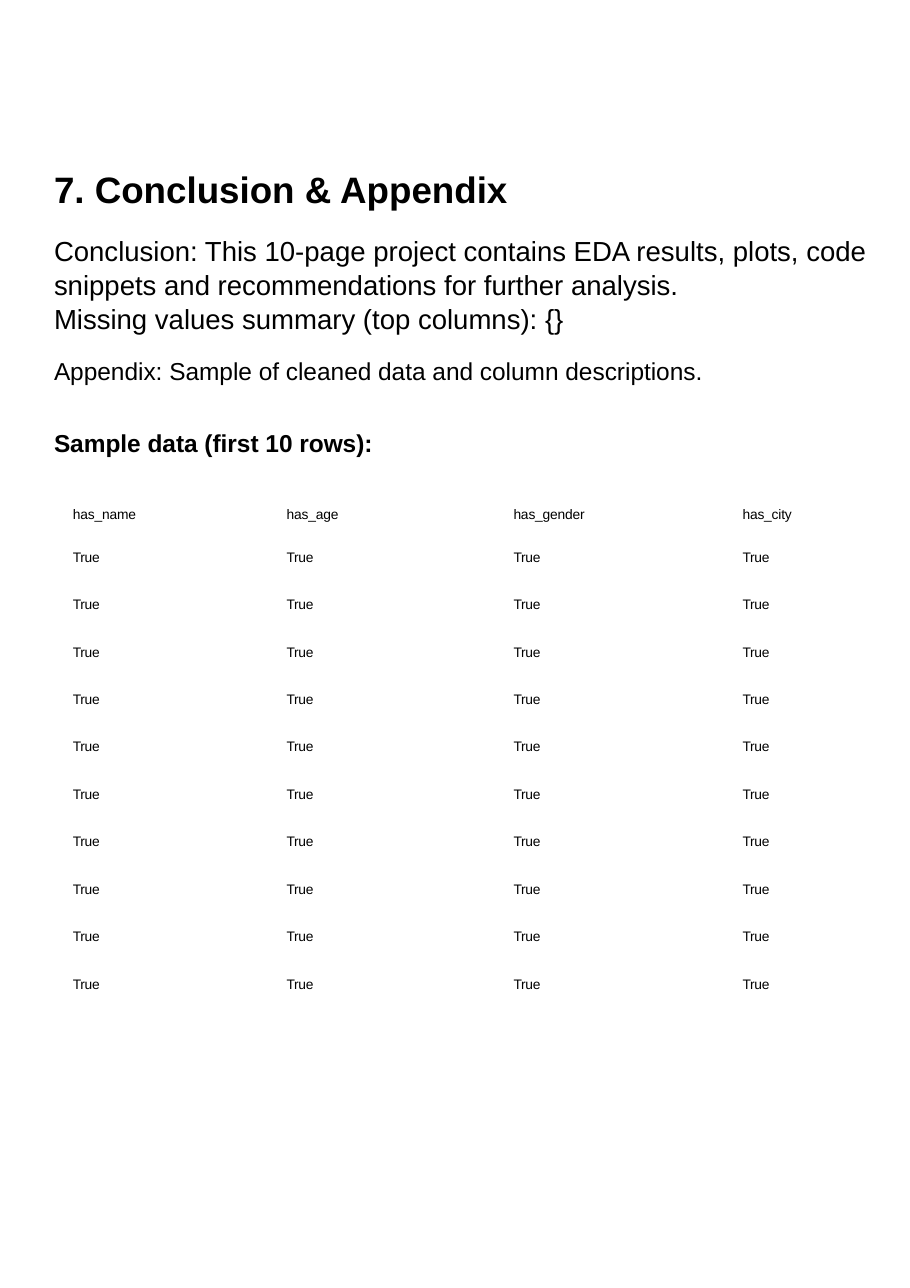
from dataclasses import dataclass

from pptx import Presentation
from pptx.dml.color import RGBColor
from pptx.enum.text import MSO_ANCHOR, MSO_AUTO_SIZE, PP_ALIGN
from pptx.util import Pt


@dataclass(frozen=True)
class Theme:
    font: str = "Arial"
    ink: RGBColor = RGBColor(0, 0, 0)
    title: float = 24
    body: float = 18
    note: float = 16
    cell: float = 9


THEME = Theme()
TEXT_LEFT = 35.3

HEADERS = ["has_name", "has_age", "has_gender", "has_city"]
SAMPLE_ROWS = [["True"] * len(HEADERS)] * 10
COLUMN_WIDTHS = [103, 144, 156.2, 88.6]
COLUMN_INDENTS = [2.2, 38.9, 43.2, 36.7]
EDGE_ROW_HEIGHT = 28.1
ROW_HEIGHT = 31


def style_para(para, size, bold=False, tracking=0):
    """Format every run of a paragraph; tracking is in hundredths of a point."""
    para.alignment = PP_ALIGN.LEFT
    for span in para.runs:
        span.font.name = THEME.font
        span.font.size = Pt(size)
        span.font.bold = bold
        span.font.color.rgb = THEME.ink
        if tracking:
            span.font._element.set("spc", str(tracking))


def place_text(box, top, width, height):
    box.left, box.top = Pt(TEXT_LEFT), Pt(top)
    box.width, box.height = Pt(width), Pt(height)
    frame = box.text_frame
    frame.word_wrap = True
    frame.auto_size = MSO_AUTO_SIZE.NONE
    frame.vertical_anchor = MSO_ANCHOR.TOP
    frame.margin_left = frame.margin_right = 0
    frame.margin_top = frame.margin_bottom = 0
    return frame


def add_title(page, text):
    frame = place_text(page.shapes.title, 108.8, 552, 30)
    frame.text = text
    style_para(frame.paragraphs[0], THEME.title, bold=True)


def add_body(page, entries):
    """Each entry is text, size, bold, line spacing, space before."""
    box = page.shapes.add_textbox(0, 0, 0, 0)
    frame = place_text(box, 151.8, 552, 150)
    frame.text = "\n".join(entry[0] for entry in entries)
    for para, (_, size, bold, spacing, before) in zip(frame.paragraphs, entries):
        para.line_spacing = spacing
        para.space_before = Pt(before)
        style_para(para, size, bold)


def add_sample_table(page):
    rows = [HEADERS] + SAMPLE_ROWS
    heights = [EDGE_ROW_HEIGHT] + [ROW_HEIGHT] * (len(rows) - 2) + [EDGE_ROW_HEIGHT]
    table = page.shapes.add_table(
        len(rows), len(HEADERS), Pt(45.4), Pt(331.2),
        Pt(sum(COLUMN_WIDTHS)), Pt(sum(heights))).table
    table.first_row = table.horz_banding = False
    for column, width in zip(table.columns, COLUMN_WIDTHS):
        column.width = Pt(width)
    for row, height, values in zip(table.rows, heights, rows):
        row.height = Pt(height)
        tracking = -10 if values is HEADERS else -20
        for cell, indent, value in zip(row.cells, COLUMN_INDENTS, values):
            cell.fill.background()
            cell.margin_left = Pt(indent)
            cell.margin_right = cell.margin_top = cell.margin_bottom = 0
            cell.text = value
            style_para(cell.text_frame.paragraphs[0], THEME.cell, tracking=tracking)


def main():
    deck = Presentation()
    deck.slide_width, deck.slide_height = Pt(594.72), Pt(841.68)
    page = deck.slides.add_slide(deck.slide_layouts[5])
    add_title(page, "7. Conclusion & Appendix")
    add_body(page, [
        ("Conclusion: This 10-page project contains EDA results, plots, code "
         "snippets and recommendations for further analysis.",
         THEME.body, False, 1.04, 0),
        ("Missing values summary (top columns): {}", THEME.body, False, 1.04, 0),
        ("Appendix: Sample of cleaned data and column descriptions.",
         THEME.note, False, Pt(18), 15),
        ("Sample data (first 10 rows):", THEME.note, True, Pt(18), 29),
    ])
    add_sample_table(page)
    deck.save("out.pptx")


if __name__ == "__main__":
    main()
